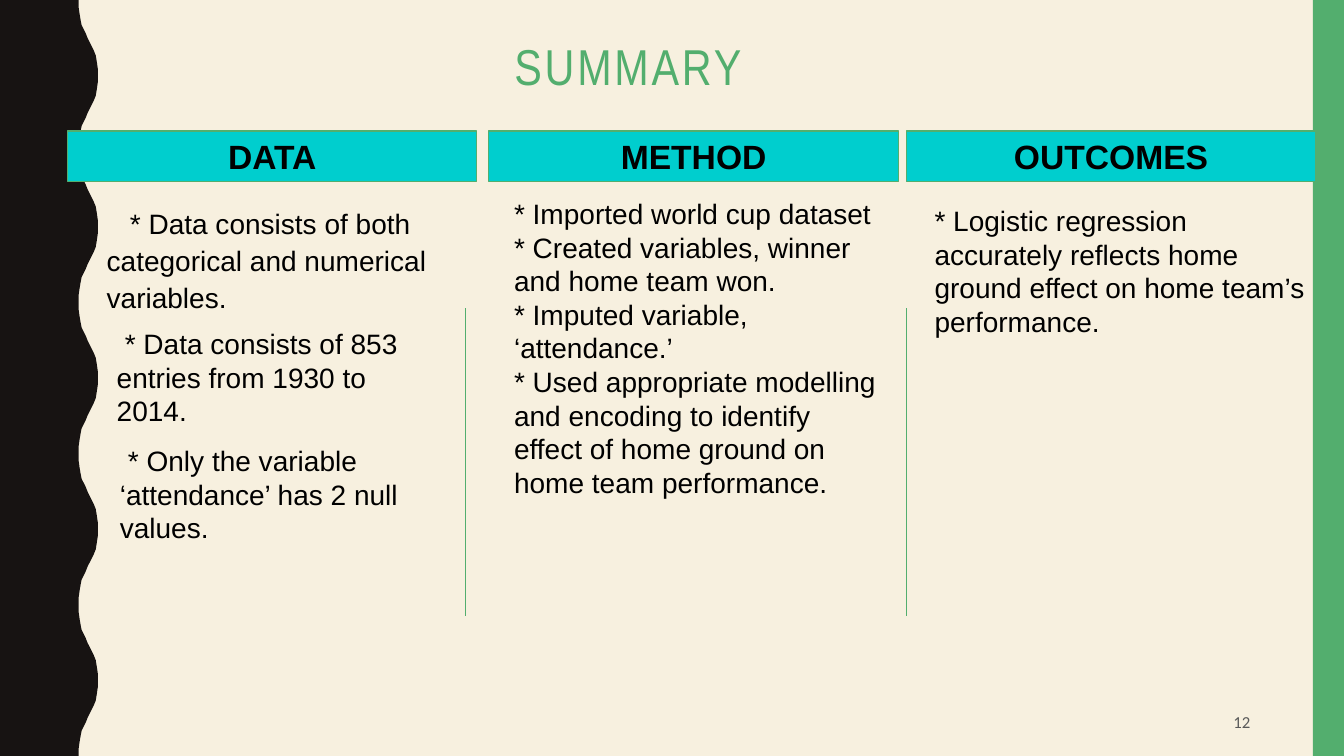
from dataclasses import dataclass

import pptx
import pptx.dml.color
import pptx.enum.shapes
import pptx.enum.text
import pptx.oxml
import pptx.oxml.ns
import pptx.util

Inches = pptx.util.Inches
Pt = pptx.util.Pt
Align = pptx.enum.text.PP_ALIGN
Anchor = pptx.enum.text.MSO_ANCHOR


@dataclass(frozen=True)
class Theme:
    cream: str = "F7F0DF"
    dark: str = "171312"
    green: str = "53AE6E"
    cyan: str = "00CECE"
    black: str = "000000"
    gray: str = "595959"
    title_size: int = 36
    header_size: int = 24
    body_size: int = 20
    number_size: int = 12
    title_font: str = "Arial Narrow"
    body_font: str = "Arial"
    number_font: str = "Calibri"


@dataclass(frozen=True)
class TextStyle:
    font: str
    size: int
    color: str
    bold: bool = False
    align: Align = Align.LEFT
    anchor: Anchor = Anchor.TOP
    tracking: float = 0
    line_spacing: float = 1.0
    space_before: float = 0
    first_indent: float = 0


@dataclass(frozen=True)
class Header:
    label: str
    left: float


@dataclass(frozen=True)
class Note:
    left: float
    top: float
    width: float
    height: float
    lines: tuple[str, ...]
    first_indent: float = 0
    line_spacing: float = 1.0
    space_before: float = 0


THEME = Theme()
SLIDE_WIDTH, SLIDE_HEIGHT = 13.33, 7.5
HEADER_TOP, HEADER_WIDTH, HEADER_HEIGHT = 1.3, 4.06, 0.5
DIVIDER_TOP, DIVIDER_BOTTOM = 3.06, 6.11
DIVIDERS = (4.62, 8.99)
HEADERS = (Header("DATA", 0.67), Header("METHOD", 4.85), Header("OUTCOMES", 8.99))
NOTES = (
    Note(5, 1.9, 3.88, 3.94, (
        "* Imported world cup dataset",
        "* Created variables, winner and home team won.",
        "* Imputed variable, ‘attendance.’",
        "* Used appropriate modelling and encoding to identify effect of home "
        "ground on home team performance.",
    )),
    Note(9.17, 1.97, 3.88, 1.85, (
        "* Logistic regression accurately reflects home ground effect on home "
        "team’s performance.",
    )),
    Note(0.96, 1.97, 4.26, 0.76, (
        "* Data consists of both categorical and numerical variables.",
    ), first_indent=0.23, line_spacing=1.1, space_before=7),
    Note(1.06, 3.19, 3.4, 1.11, (
        "* Data consists of 853 entries from 1930 to 2014.",
    ), first_indent=0.08),
    Note(1.09, 4.35, 3.01, 1.11, (
        "* Only the variable ‘attendance’ has 2 null values.",
    ), first_indent=0.08),
)
# Hundredths of an inch: the wave edge from a trough to the next crest.
WAVE_RISE = (
    (78, 0), (78, 7), (79, 14), (80, 20), (81, 25), (83, 29), (85, 33), (87, 38),
    (89, 42), (91, 46), (93, 50), (95, 55), (96, 61), (97, 68), (97, 75),
)
WAVE_PERIOD = 150
WAVE_COUNT = 5


def rgb(color: str) -> pptx.dml.color.RGBColor:
    return pptx.dml.color.RGBColor.from_string(color)


def write_text(shape, lines: tuple[str, ...], style: TextStyle) -> None:
    frame = shape.text_frame
    frame.word_wrap = True
    frame.vertical_anchor = style.anchor
    for index, line in enumerate(lines):
        para = frame.paragraphs[0] if index == 0 else frame.add_paragraph()
        para.alignment = style.align
        para.line_spacing = style.line_spacing
        para.space_before = Pt(style.space_before)
        if style.first_indent:
            properties = para._p.get_or_add_pPr()
            properties.set("marL", "0")
            properties.set("indent", str(Inches(style.first_indent)))
        span = para.add_run()
        span.text = line
        span.font.name = style.font
        span.font.size = Pt(style.size)
        span.font.bold = style.bold
        span.font.color.rgb = rgb(style.color)
        if style.tracking:
            span._r.get_or_add_rPr().set("spc", str(round(style.tracking * 100)))


def add_text(page, left: float, top: float, width: float, height: float,
             lines: tuple[str, ...], style: TextStyle) -> None:
    box = page.shapes.add_textbox(Inches(left), Inches(top), Inches(width), Inches(height))
    write_text(box, lines, style)


def paint(shape, color: str) -> None:
    shape.shadow.inherit = False
    shape.fill.solid()
    shape.fill.fore_color.rgb = rgb(color)
    shape.line.fill.background()


def add_rectangle(page, left: float, top: float, width: float, height: float, color: str):
    shape = page.shapes.add_shape(
        pptx.enum.shapes.MSO_SHAPE.RECTANGLE,
        Inches(left), Inches(top), Inches(width), Inches(height))
    paint(shape, color)
    return shape


def add_wave(page) -> None:
    """Draw the dark left band; each wave is the rise followed by its mirror."""
    fall = [(x, WAVE_PERIOD - y) for x, y in reversed(WAVE_RISE[:-1])]
    edge = [(x, y + number * WAVE_PERIOD)
            for number in range(WAVE_COUNT) for x, y in [*WAVE_RISE, *fall]]
    builder = page.shapes.build_freeform(0, 0, scale=Inches(0.01))
    builder.add_line_segments([*edge, (0, WAVE_PERIOD * WAVE_COUNT)], close=True)
    paint(builder.convert_to_shape(), THEME.dark)


def add_header(page, header: Header, style: TextStyle) -> None:
    shape = add_rectangle(page, header.left, HEADER_TOP, HEADER_WIDTH, HEADER_HEIGHT, THEME.cyan)
    shape.line.color.rgb = rgb(THEME.green)
    shape.line.width = Pt(0.75)
    write_text(shape, (header.label,), style)


def add_divider(page, x: float) -> None:
    line = page.shapes.add_connector(
        pptx.enum.shapes.MSO_CONNECTOR.STRAIGHT,
        Inches(x), Inches(DIVIDER_TOP), Inches(x), Inches(DIVIDER_BOTTOM))
    line.line.color.rgb = rgb(THEME.green)
    line.line.width = Pt(0.5)
    line._element.spPr.append(pptx.oxml.parse_xml(
        f'<a:effectLst {pptx.oxml.ns.nsdecls("a")}/>'))


def main() -> None:
    deck = pptx.Presentation()
    deck.slide_width, deck.slide_height = Inches(SLIDE_WIDTH), Inches(SLIDE_HEIGHT)
    page = deck.slides.add_slide(deck.slide_layouts[6])
    page.background.fill.solid()
    page.background.fill.fore_color.rgb = rgb(THEME.cream)

    add_wave(page)
    add_rectangle(page, 13.02, 0, 0.31, SLIDE_HEIGHT, THEME.green)
    add_text(page, 4.7, 0.37, 3.06, 1.06, ("SUMMARY",), TextStyle(
        THEME.title_font, THEME.title_size, THEME.green,
        align=Align.CENTER, tracking=2, line_spacing=0.9))
    add_text(page, 9.42, 6.97, 3.08, 0.38, ("12",), TextStyle(
        THEME.number_font, THEME.number_size, THEME.gray,
        align=Align.RIGHT, anchor=Anchor.MIDDLE))

    header_style = TextStyle(THEME.body_font, THEME.header_size, THEME.black, bold=True,
                             align=Align.CENTER, anchor=Anchor.MIDDLE)
    for header in HEADERS:
        add_header(page, header, header_style)
    for x in DIVIDERS:
        add_divider(page, x)
    for note in NOTES:
        style = TextStyle(THEME.body_font, THEME.body_size, THEME.black,
                          line_spacing=note.line_spacing, space_before=note.space_before,
                          first_indent=note.first_indent)
        add_text(page, note.left, note.top, note.width, note.height, note.lines, style)

    deck.save("out.pptx")


if __name__ == "__main__":
    main()
